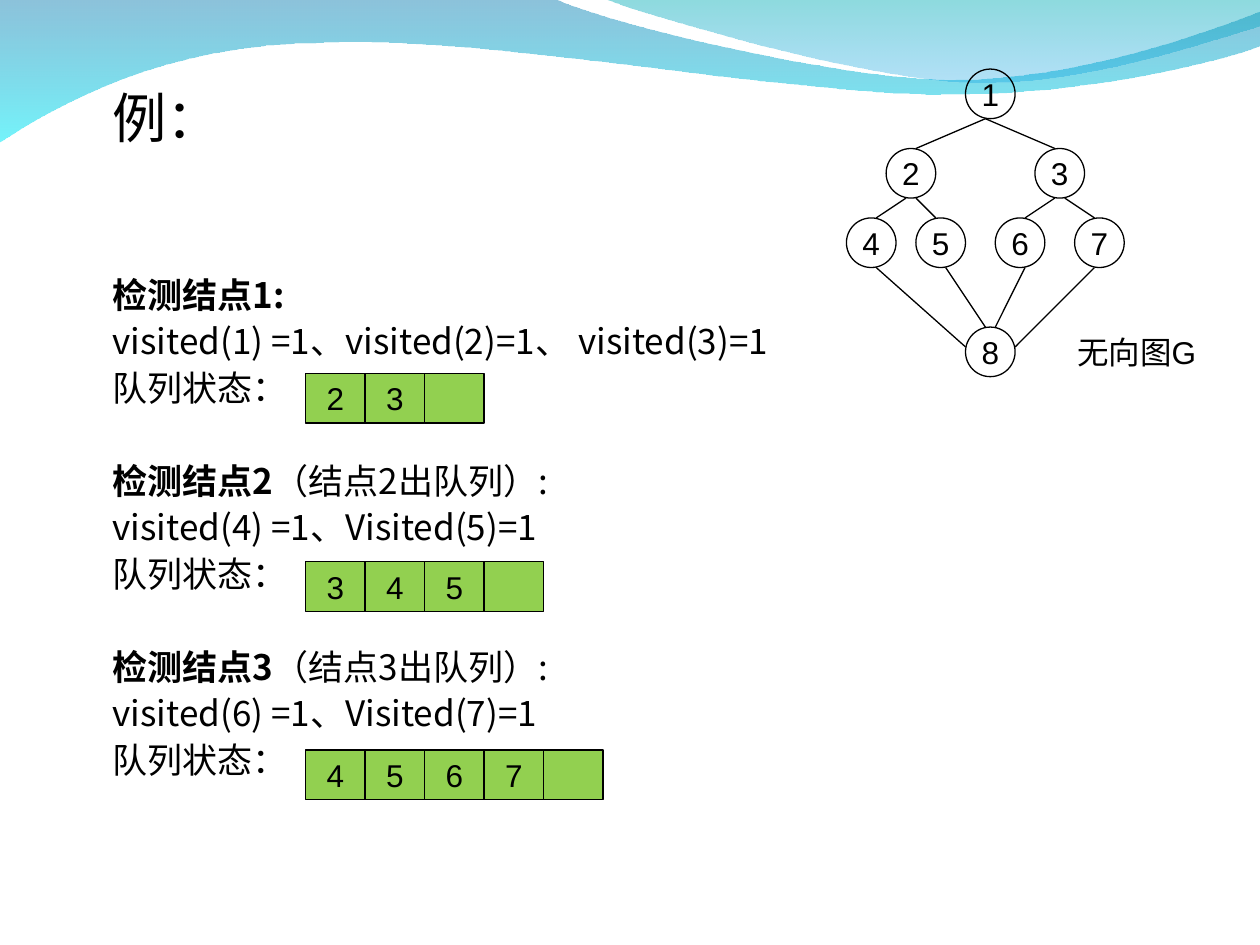
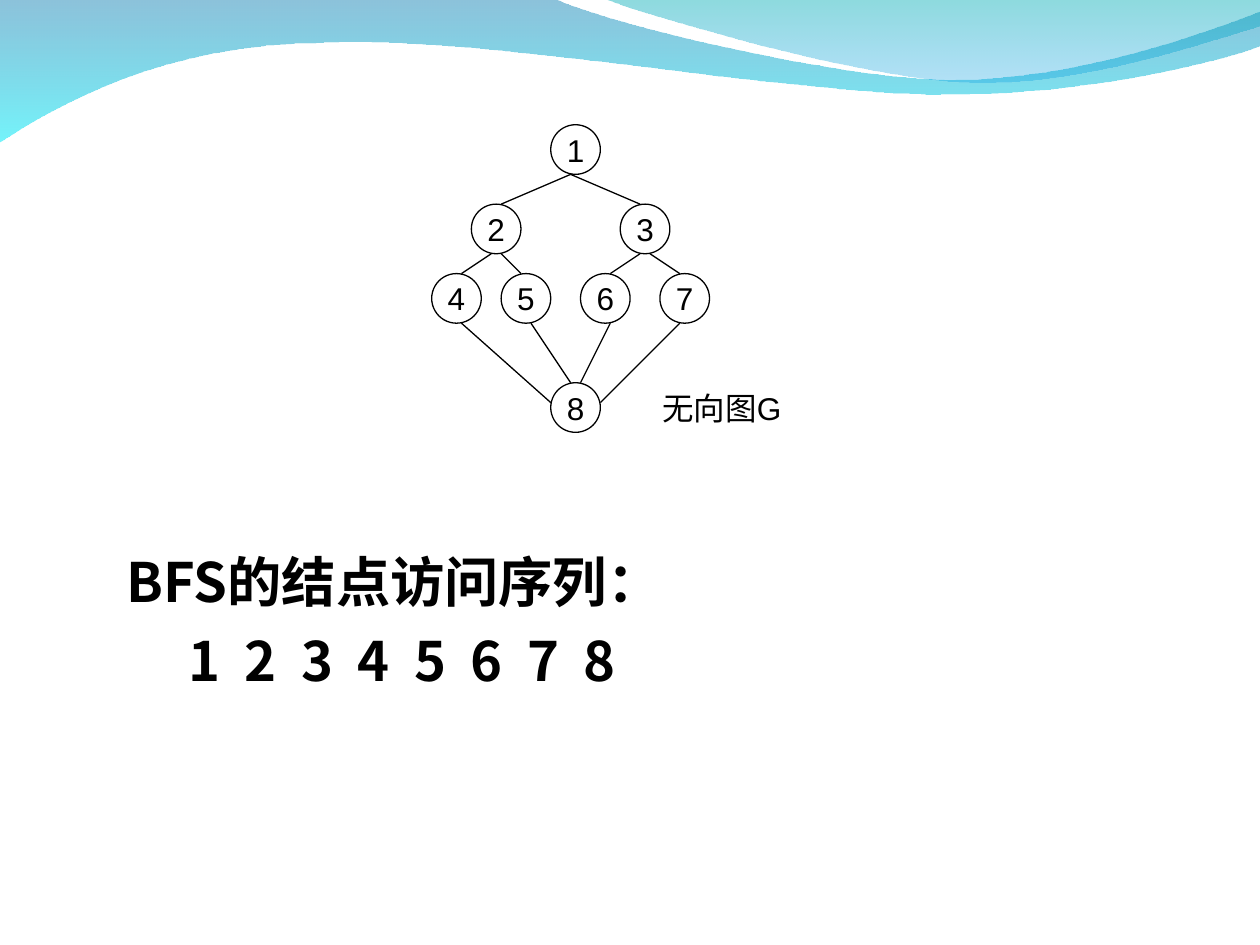
from dataclasses import dataclass

from lxml import etree
from pptx import Presentation
from pptx.dml.color import RGBColor
from pptx.enum.shapes import MSO_CONNECTOR, MSO_SHAPE
from pptx.enum.text import MSO_ANCHOR, PP_ALIGN
from pptx.oxml.ns import qn
from pptx.util import Pt

STRAIGHT = MSO_CONNECTOR.STRAIGHT
OVAL = MSO_SHAPE.OVAL
RECTANGLE = MSO_SHAPE.RECTANGLE
MIDDLE = MSO_ANCHOR.MIDDLE
CENTER = PP_ALIGN.CENTER

BLACK = RGBColor(0x00, 0x00, 0x00)
QUEUE_GREEN = RGBColor(0x92, 0xD0, 0x50)
DEEP_BLUE = RGBColor(0x00, 0x79, 0xAF)
CYAN = RGBColor(0x00, 0xEB, 0xF8)
TEAL = RGBColor(0x00, 0xAD, 0xB6)
SKY_BLUE = RGBColor(0x00, 0x9B, 0xE5)

BODY_FONT = "Noto Sans CJK SC"
LABEL_FONT = "Arial"
TITLE_SIZE, BODY_SIZE, LABEL_SIZE = 31, 20, 18
LINE_WIDTH = 0.75
UNIT = 5.67
NODE_UNITS, CELL_UNITS = 5, 6
BODY_PITCH = 26.57
SEQUENCE_PITCH = 37.2

Point = tuple[float, float]


@dataclass(frozen=True)
class Stop:
    color: RGBColor
    opacity: int


@dataclass(frozen=True)
class Wave:
    start: Point
    segments: list[list[Point]]
    stops: tuple[Stop, Stop]


@dataclass(frozen=True)
class Node:
    name: str
    x: int
    y: int


@dataclass(frozen=True)
class Edge:
    start: Point
    end: Point


@dataclass(frozen=True)
class Step:
    heading: str
    note: str
    visits: str
    queue: list[str]


WAVES = [
    Wave((0, -0.7), [
        [(316.8, -0.7)],
        [(342.7, 12.2), (478.1, 45.4), (545.8, 45.4)],
        [(614.2, 45.4), (689.8, 18.7), (720, 6.5)],
        [(720.7, 25.9)],
        [(707.8, 31.7), (626.4, 54.7), (537.1, 54)],
        [(447.8, 54), (275, 20.2), (185, 24.5)],
        [(92.9, 25.2), (33.1, 59.8), (-0.7, 81.4)],
    ], (Stop(DEEP_BLUE, 45), Stop(CYAN, 55))),
    Wave((344.9, -0.7), [
        [(366.5, 7.9), (491, 44.6), (553.7, 46.8)],
        [(616.3, 49.7), (691.9, 23), (720, 15.1)],
        [(720, 0)],
    ], (Stop(TEAL, 45), Stop(SKY_BLUE, 30))),
]

NODES = [
    Node("1", 12, 0), Node("2", 4, 8), Node("3", 19, 8), Node("4", 0, 15),
    Node("5", 7, 15), Node("6", 15, 15), Node("7", 23, 15), Node("8", 12, 26),
]

EDGES = [
    Edge((14, 5), (7, 8)), Edge((14, 5), (21, 8)),
    Edge((6, 13), (3, 15)), Edge((7, 13), (9, 15)),
    Edge((21, 13), (18, 15)), Edge((22, 13), (25, 15)),
    Edge((3, 20), (12, 28)), Edge((10, 20), (14, 26)),
    Edge((18, 20), (15, 26)), Edge((25, 20), (17, 28)),
]

STEPS = [
    Step("检测结点1:", "", "visited(1) =1、visited(2)=1、 visited(3)=1", ["2", "3", ""]),
    Step("检测结点2", "（结点2出队列）:", "visited(4) =1、Visited(5)=1", ["3", "4", "5", ""]),
    Step("检测结点3", "（结点3出队列）:", "visited(6) =1、Visited(7)=1", ["4", "5", "6", "7", ""]),
]


def set_font(p, size: float, name: str, bold: bool | None = None) -> None:
    p.font.size = Pt(size)
    p.font.name = name
    p.font.bold = bold
    p.font.color.rgb = BLACK
    props = p._p.pPr.find(qn("a:defRPr"))
    etree.SubElement(props, qn("a:ea"), typeface=BODY_FONT)


def add_text_frame(shapes, left: float, top: float, width: float, height: float):
    tf = shapes.add_textbox(Pt(left), Pt(top), Pt(width), Pt(height)).text_frame
    tf.word_wrap = True
    return tf


def set_spacing(p, line: float, before: float = 0) -> None:
    p.line_spacing = Pt(line)
    p.space_before = Pt(before)


def add_body_line(tf, text: str, before: float = 0):
    p = tf.add_paragraph()
    set_spacing(p, BODY_PITCH, before)
    r = p.add_run()
    r.text = text
    set_font(p, BODY_SIZE, BODY_FONT)
    return p


def bend_segments(sp, segments: list[list[Point]]) -> None:
    lines = iter(list(sp._element.spPr.iter(qn("a:lnTo"))))
    for segment in segments:
        parts = [next(lines) for _ in segment]
        if len(parts) == 3:
            curve = etree.Element(qn("a:cubicBezTo"))
            parts[0].addprevious(curve)
            for part in parts:
                curve.append(part[0])
                part.getparent().remove(part)


def add_wave(shapes, wave: Wave) -> None:
    points = [wave.start] + [point for segment in wave.segments for point in segment]
    vertices = [(Pt(x), Pt(y)) for x, y in points]
    builder = shapes.build_freeform(*vertices[0], scale=1.0)
    builder.add_line_segments(vertices[1:], close=False)
    sp = builder.convert_to_shape()
    bend_segments(sp, wave.segments)
    outline = next(sp._element.spPr.iter(qn("a:moveTo"))).getparent()
    etree.SubElement(outline, qn("a:close"))
    sp.shadow.inherit = False
    sp.line.fill.background()
    sp.fill.gradient()
    sp.fill.gradient_angle = 270
    for gradient_stop, stop in zip(sp.fill.gradient_stops, wave.stops):
        gradient_stop.color.rgb = stop.color
    for color, stop in zip(sp._element.spPr.iter(qn("a:srgbClr")), wave.stops):
        etree.SubElement(color, qn("a:alpha"), val=str(stop.opacity * 1000))


def add_box(shapes, kind, text: str, left: float, top: float, width: float,
            fill: RGBColor | None = None) -> None:
    sp = shapes.add_shape(kind, Pt(left), Pt(top), Pt(width), Pt(NODE_UNITS * UNIT))
    sp.shadow.inherit = False
    if fill is None:
        sp.fill.background()
    else:
        sp.fill.solid()
        sp.fill.fore_color.rgb = fill
    sp.line.color.rgb = BLACK
    sp.line.width = Pt(LINE_WIDTH)
    if text:
        tf = sp.text_frame
        tf.word_wrap = False
        tf.vertical_anchor = MIDDLE
        p = tf.paragraphs[0]
        p.text = text
        p.alignment = CENTER
        set_font(p, LABEL_SIZE, LABEL_FONT)


def add_edge(shapes, edge: Edge, left: float, top: float) -> None:
    ends = [Pt(origin + value * UNIT)
            for point in (edge.start, edge.end)
            for origin, value in zip((left, top), point)]
    line = shapes.add_connector(STRAIGHT, *ends)
    line.line.color.rgb = BLACK
    line.line.width = Pt(LINE_WIDTH)
    etree.SubElement(line._element.spPr, qn("a:effectLst"))


def add_graph(slide, left: float, top: float) -> None:
    shapes = slide.shapes.add_group_shape().shapes
    for node in NODES:
        add_box(shapes, OVAL, node.name, left + node.x * UNIT, top + node.y * UNIT,
                NODE_UNITS * UNIT)
    for edge in EDGES:
        add_edge(shapes, edge, left, top)
    tf = add_text_frame(shapes, left + 22 * UNIT, top + 26 * UNIT, 17 * UNIT, 28.8)
    p = tf.paragraphs[0]
    p.text = "无向图G"
    set_font(p, LABEL_SIZE, LABEL_FONT)


def add_queue(slide, cells: list[str], left: float, top: float) -> None:
    width = CELL_UNITS * UNIT
    for i, cell in enumerate(cells):
        add_box(slide.shapes, RECTANGLE, cell, left + i * width, top, width, QUEUE_GREEN)


def add_slide(prs):
    slide = prs.slides.add_slide(prs.slide_layouts[6])
    for wave in WAVES:
        add_wave(slide.shapes, wave)
    return slide


def build_example(prs) -> None:
    slide = add_slide(prs)
    tf = add_text_frame(slide.shapes, 57.3, 49, 629.3, 434.2)
    p = tf.paragraphs[0]
    p.text = "例："
    set_spacing(p, 32.6)
    set_font(p, TITLE_SIZE, BODY_FONT)
    for i, step in enumerate(STEPS):
        p = add_body_line(tf, step.heading, BODY_PITCH if i else 68.5)
        p.runs[0].font.bold = True
        if step.note:
            r = p.add_run()
            r.text = step.note
        add_body_line(tf, step.visits)
        add_body_line(tf, "队列状态：")
    add_graph(slide, 483.7, 39.5)
    for i, step in enumerate(STEPS):
        add_queue(slide, step.queue, 174.6, 213.4 + i * 107.6)


def build_sequence(prs) -> None:
    slide = add_slide(prs)
    tf = add_text_frame(slide.shapes, 65.4, 309.6, 629.3, 172.8)
    p = tf.paragraphs[0]
    p.text = "BFS的结点访问序列："
    set_spacing(p, SEQUENCE_PITCH)
    set_font(p, TITLE_SIZE, BODY_FONT, True)
    p = tf.add_paragraph()
    p.text = "".join(f"\t{node.name}" for node in NODES)
    set_spacing(p, SEQUENCE_PITCH, 8.3)
    tabs = etree.SubElement(p._p.get_or_add_pPr(), qn("a:tabLst"))
    for i in range(len(NODES)):
        etree.SubElement(tabs, qn("a:tab"), pos=str(Pt(35 + i * 32.3)), algn="l")
    set_font(p, TITLE_SIZE, BODY_FONT, True)
    add_graph(slide, 246.7, 71.3)


def main() -> None:
    prs = Presentation()
    prs.slide_width, prs.slide_height = Pt(720), Pt(540)
    build_example(prs)
    build_sequence(prs)
    prs.save("out.pptx")


if __name__ == "__main__":
    main()
